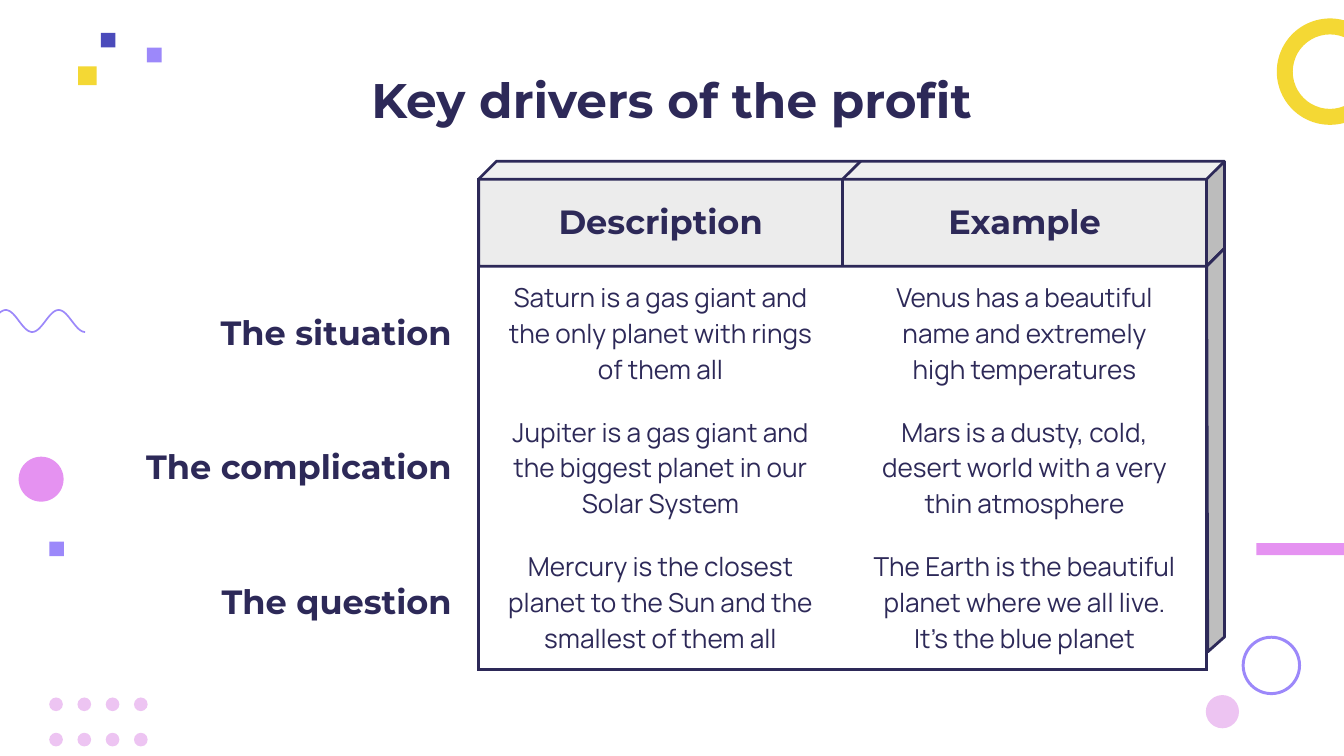
import math

from lxml import etree
from pptx import Presentation
from pptx import util as u
from pptx.dml import color
from pptx.enum import shapes, text
from pptx.oxml import ns

Pt = u.Pt
KIND = shapes.MSO_SHAPE
ALIGN = text.PP_ALIGN
COLORS = {
    "ink": "2D2958", "header": "ECECEC", "side": "BEBEBE", "yellow": "F4D834",
    "violet": "9C88FA", "indigo": "4B4BBB", "pink": "E592F1", "blush": "EDC4F2",
}
HEADING, BODY = ("Montserrat", 18, True), ("Manrope", 14, False)
HEADERS = ["Description", "Example"]
ROWS = [
    ("The situation",
     ["Saturn is a gas giant and the only planet with rings of them all"],
     ["Venus has a beautiful name and extremely", "high temperatures"]),
    ("The complication",
     ["Jupiter is a gas giant and the biggest planet in our Solar System"],
     ["Mars is a dusty, cold, desert world with a very thin atmosphere"]),
    ("The question",
     ["Mercury is the closest planet to the Sun and the smallest of them all"],
     ["The Earth is the beautiful planet where we all live. It’s the blue planet"]),
]


def rgb(name):
    return color.RGBColor.from_string(COLORS[name])


def paint(shape, fill=None, line=None, width=1.5):
    shape.shadow.inherit = False
    if fill:
        shape.fill.solid()
        shape.fill.fore_color.rgb = rgb(fill)
    else:
        shape.fill.background()
    if line:
        shape.line.color.rgb = rgb(line)
        shape.line.width = Pt(width)
    else:
        shape.line.fill.background()


def add_preset(page, kind, box, fill, line=None, adjust=None):
    shape = page.shapes.add_shape(kind, *map(Pt, box))
    paint(shape, fill, line)
    if adjust is not None:
        shape.adjustments[0] = adjust
    return shape


def add_outline(page, points, close):
    points = [(Pt(x), Pt(y)) for x, y in points]
    builder = page.shapes.build_freeform(*points[0])
    builder.add_line_segments(points[1:], close=close)
    return builder.convert_to_shape()


def write(frame, lines, style, align):
    """Fill a text frame with one styled run per paragraph."""
    font, size, bold = style
    frame.word_wrap = True
    for index, line in enumerate(lines):
        para = frame.paragraphs[0] if index == 0 else frame.add_paragraph()
        para.alignment = align
        span = para.add_run()
        span.text = line
        span.font.name = font
        span.font.size = Pt(size)
        span.font.bold = bold
        span.font.color.rgb = rgb("ink")


def add_title(page, box, words):
    title = page.shapes.title
    title.left, title.top, title.width, title.height = map(Pt, box)
    frame = title.text_frame
    frame.auto_size = text.MSO_AUTO_SIZE.NONE
    frame.vertical_anchor = text.MSO_ANCHOR.MIDDLE
    write(frame, [words], ("Montserrat", 26, True), ALIGN.CENTER)


def add_dots(page, box, columns=4, rows=2, size=7.3):
    left, top, width, height = box
    for row in range(rows):
        for column in range(columns):
            x = left + column * (width - size) / (columns - 1)
            y = top + row * (height - size) / (rows - 1)
            add_preset(page, KIND.OVAL, (x, y, size, size), "blush")


def add_wave(page, box, periods=2.5, steps=100):
    left, top, width, height = box
    points = [
        (left + width * i / steps,
         top + height / 2 * (1 - math.cos(2 * math.pi * periods * i / steps)))
        for i in range(steps + 1)
    ]
    paint(add_outline(page, points, close=False), line="violet", width=0.9)


def add_confetti(page, box):
    left, top = box[:2]
    for x, y, size, fill in [(0, 18, 10, "yellow"), (36.9, 7.9, 8, "violet"),
                             (12.2, 0, 7.8, "indigo")]:
        add_preset(page, KIND.RECTANGLE, (left + x, top + y, size, size), fill)


def add_ornaments(page, box):
    left, top = box[:2]
    add_dots(page, (left + 26.4, top + 373.7, 52.7, 26.2))
    add_wave(page, (left - 25.2, top + 166.1, 70.8, 11.8))
    add_confetti(page, (left + 41.8, top + 17.6, 45, 28))
    for kind, x, y, width, height, fill, adjust in [
        (KIND.DONUT, 684, 9.9, 57, 57, "yellow", 0.15),
        (KIND.DONUT, 665.2, 340.6, 31.8, 31.8, "violet", 0.05),
        (KIND.OVAL, 10, 244.7, 24.1, 24.1, "pink", None),
        (KIND.OVAL, 646, 372.4, 17.8, 17.8, "blush", None),
        (KIND.RECTANGLE, 673, 291, 63, 6.4, "pink", None),
        (KIND.RECTANGLE, 26.4, 290.2, 7.8, 7.8, "violet", None),
    ]:
        add_preset(page, kind, (left + x, top + y, width, height), fill, adjust=adjust)


def set_borders(cell, row, column):
    """Outline the header cells and the body block, leaving the label column open."""
    def upright(edge):
        return edge in (1, 3) or (edge == 2 and row == 0)

    def level(edge):
        return column > 0 and edge in (0, 1, len(ROWS) + 1)

    sides = {"lnL": upright(column), "lnR": upright(column + 1),
             "lnT": level(row), "lnB": level(row + 1)}
    properties = cell._tc.get_or_add_tcPr()
    for tag, drawn in sides.items():
        line = etree.SubElement(properties, ns.qn("a:" + tag), w=str(Pt(1.5)))
        if drawn:
            fill = etree.SubElement(line, ns.qn("a:solidFill"))
            etree.SubElement(fill, ns.qn("a:srgbClr"), val=COLORS["ink"])
        else:
            etree.SubElement(line, ns.qn("a:noFill"))


def fill_cell(cell, row, column, lines):
    cell.vertical_anchor = text.MSO_ANCHOR.MIDDLE
    margins = (0, 0, 0, 0) if row == 0 else (14.4 if column else 7.2, 7.2, 14.4, 7.2)
    (cell.margin_left, cell.margin_top,
     cell.margin_right, cell.margin_bottom) = map(Pt, margins)
    set_borders(cell, row, column)
    cell.fill.background()
    if lines:
        write(cell.text_frame, lines, BODY if row and column else HEADING,
              ALIGN.CENTER if column else ALIGN.RIGHT)


def add_table(page, box, widths, heights):
    contents = [[[]] + [[header] for header in HEADERS]]
    contents += [[[label], description, example] for label, description, example in ROWS]
    frame = page.shapes.add_table(len(heights), len(widths), *map(Pt, box))
    table = frame.table
    table.first_row = table.horz_banding = False
    for column, width in zip(table.columns, widths):
        column.width = Pt(width)
    for row, height in zip(table.rows, heights):
        row.height = Pt(height)
    for row, record in enumerate(contents):
        for column, lines in enumerate(record):
            fill_cell(table.cell(row, column), row, column, lines)


def add_board(page, box, depth=9.6, label_width=200, header=46.6):
    """Table whose header and right side stand out as a solid block."""
    left, top, width, height = box
    right, bottom = left + width, top + height
    front, face = left + label_width, right - depth
    column = (face - front) / 2
    block = header + depth
    add_preset(page, KIND.CUBE, (front, top, right - front, block),
               "header", "ink", depth / block)
    row = (height - block) / len(ROWS)
    add_table(page, (left, top + depth, width - depth, height - depth),
              [label_width, column, column], [header] + [row] * len(ROWS))
    side = add_outline(page, [(face, top + block), (right, top + header),
                              (right, bottom - 8), (face + 0.6, bottom)], close=True)
    paint(side, "side", "ink")
    middle = front + column
    edge = page.shapes.add_connector(
        shapes.MSO_CONNECTOR.STRAIGHT, Pt(middle), Pt(top + depth),
        Pt(middle + depth), Pt(top))
    edge.line.color.rgb = rgb("ink")
    edge.line.width = Pt(1.5)
    etree.SubElement(edge._element.spPr, ns.qn("a:effectLst"))


def main():
    deck = Presentation()
    deck.slide_width, deck.slide_height = Pt(720), Pt(405)
    page = deck.slides.add_slide(deck.slide_layouts[5])
    add_ornaments(page, (0, 0, 720, 405))
    add_title(page, (60, 30.4, 600, 45), "Key drivers of the profit")
    add_board(page, (56.4, 86.4, 599.6, 262.8))
    deck.save("out.pptx")


if __name__ == "__main__":
    main()
